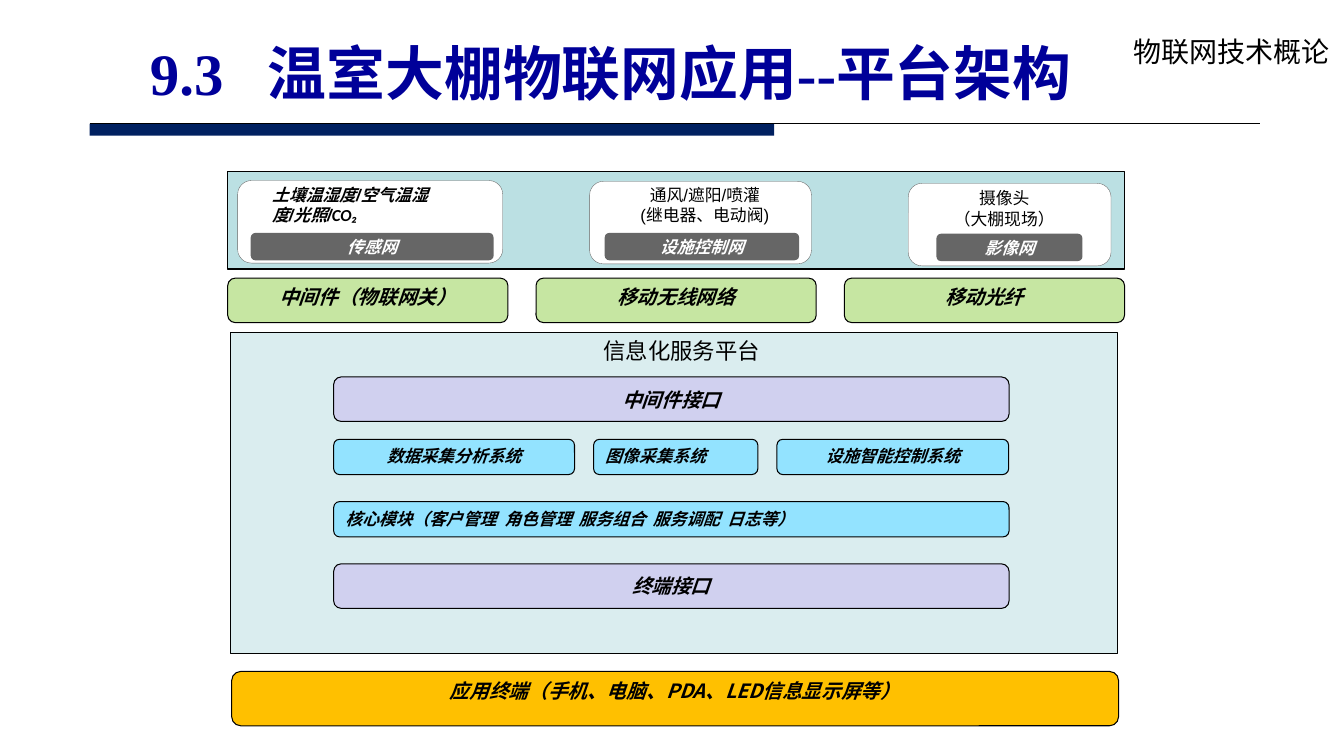
from pptx import Presentation
from pptx.dml.color import RGBColor
from pptx.enum.shapes import MSO_CONNECTOR, MSO_SHAPE
from pptx.enum.text import MSO_ANCHOR, PP_ALIGN
from pptx.oxml.ns import qn
from pptx.util import Cm, Pt
from lxml import etree

RECTANGLE, ROUNDED = MSO_SHAPE.RECTANGLE, MSO_SHAPE.ROUNDED_RECTANGLE
STRAIGHT = MSO_CONNECTOR.STRAIGHT
LEFT, CENTER = PP_ALIGN.LEFT, PP_ALIGN.CENTER
TOP, MIDDLE = MSO_ANCHOR.TOP, MSO_ANCHOR.MIDDLE

THEME = {
    "sans": "Noto Sans CJK SC", "course_font": "Noto Sans CJK JP",
    "title_font": "Times New Roman", "card_font": "Arial", "formula_font": "Calibri",
    "title_size": 42, "course_size": 20, "platform_size": 16, "block_size": 14, "small_size": 12,
    "card_line": 14.4,
    "black": "000000", "white": "FFFFFF", "title": "000099", "band": "002060",
    "field": "BBE0E3", "platform": "DAEDEF", "label": "666666", "network": "C6E6A2",
    "interface": "D0D0EF", "system": "93E3FF", "terminal": "FFC000",
}

TITLE = "9.3\t温室大棚物联网应用--平台架构"
COURSE = "物联网技术概论"
PLATFORM = "信息化服务平台"
TERMINAL = "应用终端（手机、电脑、PDA、LED信息显示屏等）"
CARDS = [
    {"card": (5.99, 4.55, 6.68), "caption": (6.53, 4.45, 5.84, 1.57), "label": (6.32, 5.87, 6.12),
     "lines": [["土壤温湿度/空气温湿度/光照/", "CO₂"]], "name": "传感网",
     "bold": True, "align": LEFT, "right_inset": 1.1},
    {"card": (14.86, 4.57, 5.59), "caption": (15.21, 4.47, 5.11, 1.35), "label": (15.24, 5.87, 4.9),
     "lines": [["通风/遮阳/喷灌"], ["(继电器、电动阀)"]], "name": "设施控制网",
     "bold": False, "align": CENTER, "right_inset": 0.25},
    {"card": (22.89, 4.62, 5.11), "caption": (23.24, 4.55, 4.14, 1.35), "label": (23.6, 5.89, 3.68),
     "lines": [["摄像头"], ["（大棚现场）"]], "name": "影像网",
     "bold": False, "align": CENTER, "right_inset": 0.25},
]
NETWORKS = ["中间件（物联网关）", "移动无线网络", "移动光纤"]
INTERFACES = [(0, "中间件接口"), (3, "终端接口")]
SYSTEMS = [("数据采集分析系统", 6.07, CENTER), ("图像采集系统", 4.14, LEFT),
           ("设施智能控制系统", 5.84, CENTER)]
CORE = "核心模块（客户管理\t角色管理\t服务组合\t服务调配\t日志等）"

CARD_HEIGHT, LABEL_HEIGHT = 2.08, 0.69
BLOCK_HEIGHT, SYSTEM_HEIGHT = 1.12, 0.89
NETWORK_LEFT, NETWORK_TOP, NETWORK_WIDTH, NETWORK_STEP = 5.74, 7.01, 7.06, 7.77
LAYER_LEFT, LAYER_TOP, LAYER_WIDTH, LAYER_STEP = 8.41, 9.5, 17.02, 1.57
SYSTEM_GAP = 0.48
CORE_TABS = [4.01 + 1.87 * index for index in range(4)]

presentation = Presentation()
presentation.slide_width, presentation.slide_height = Cm(33.87), Cm(19.05)
slide = presentation.slides.add_slide(presentation.slide_layouts[6])


def color(name):
    return RGBColor.from_string(THEME[name])


def add_box(box, fill=None, line=None, kind=ROUNDED, line_width=0.75):
    shape = slide.shapes.add_shape(kind, *map(Cm, box))
    shape.shadow.inherit = False
    if fill:
        shape.fill.solid()
        shape.fill.fore_color.rgb = color(fill)
    else:
        shape.fill.background()
    if line:
        shape.line.color.rgb = color(line)
        shape.line.width = Pt(line_width)
    else:
        shape.line.fill.background()
    return shape


def add_tabs(paragraph, positions):
    properties = paragraph._p.get_or_add_pPr()
    tab_list = etree.SubElement(properties, qn("a:tabLst"))
    for position in positions:
        etree.SubElement(tab_list, qn("a:tab"), pos=str(Cm(position)), algn="l")


def write(shape, lines, size, font="sans", ink="black", bold=False, italic=False,
          align=CENTER, anchor=TOP, tabs=(), line_spacing=None):
    frame = shape.text_frame
    frame.word_wrap = True
    frame.vertical_anchor = anchor
    for index, runs in enumerate(lines):
        paragraph = frame.paragraphs[0] if index == 0 else frame.add_paragraph()
        paragraph.alignment = align
        if line_spacing:
            paragraph.line_spacing = Pt(line_spacing)
        if tabs:
            add_tabs(paragraph, tabs)
        for position, text in enumerate(runs):
            run = paragraph.add_run()
            run.text = text
            run.font.name = THEME["formula_font" if position else font]
            run.font.size = Pt(THEME[size])
            run.font.bold, run.font.italic = bold, italic
            run.font.color.rgb = color(ink)
            east_asian = THEME["course_font" if font == "course_font" else "sans"]
            latin = run.font._element.find(qn("a:latin"))
            latin.addnext(etree.Element(qn("a:ea"), typeface=east_asian))


def add_block(box, text, fill, size="block_size", **style):
    shape = add_box(box, fill, "black")
    write(shape, [[text]], size, bold=True, italic=True, **style)


def add_header():
    add_box((2.26, 3.12, 17.25, 0.3), "band", kind=RECTANGLE)
    rule = slide.shapes.add_connector(STRAIGHT, Cm(2.26), Cm(3.12), Cm(31.75), Cm(3.12))
    rule.line.color.rgb = color("black")
    rule.line.width = Pt(0.75)
    etree.SubElement(rule._element.spPr, qn("a:effectLst"))
    course = slide.shapes.add_textbox(Cm(28.32), Cm(0.74), Cm(5.55), Cm(1.19))
    write(course, [[COURSE]], "course_size", "course_font", align=LEFT)
    title = slide.shapes.add_textbox(Cm(3.53), Cm(0.91), Cm(24.99), Cm(1.8))
    write(title, [[TITLE]], "title_size", "title_font", "title", bold=True,
          align=LEFT, anchor=MIDDLE, tabs=[2.97])


def add_field_layer():
    add_box((5.74, 4.32, 22.61, 2.46), "field", "black", RECTANGLE)
    for card in CARDS:
        add_box((*card["card"], CARD_HEIGHT), "white", "label", line_width=0.25)
        caption = add_box(card["caption"])
        caption.text_frame.margin_right = Cm(card["right_inset"])
        write(caption, card["lines"], "small_size", "card_font", bold=card["bold"],
              italic=card["bold"], align=card["align"], line_spacing=THEME["card_line"])
        label = add_box((*card["label"], LABEL_HEIGHT), "label")
        write(label, [[card["name"]]], "small_size", "card_font", "white",
              bold=True, italic=True, anchor=MIDDLE)


def add_platform():
    add_box((5.82, 8.38, 22.35, 8.1), "platform", "black", RECTANGLE)
    heading = slide.shapes.add_textbox(Cm(14.96), Cm(8.38), Cm(5.51), Cm(1.07))
    write(heading, [[PLATFORM]], "platform_size", align=LEFT)
    layer_tops = [LAYER_TOP + LAYER_STEP * index for index in range(4)]
    for layer, text in INTERFACES:
        add_block((LAYER_LEFT, layer_tops[layer], LAYER_WIDTH, BLOCK_HEIGHT), text,
                  "interface", anchor=MIDDLE)
    left = LAYER_LEFT
    for text, width, align in SYSTEMS:
        add_block((left, layer_tops[1], width, SYSTEM_HEIGHT), text, "system",
                  "small_size", align=align)
        left += width + SYSTEM_GAP
    add_block((LAYER_LEFT, layer_tops[2], LAYER_WIDTH, SYSTEM_HEIGHT), CORE, "system",
              "small_size", align=LEFT, tabs=CORE_TABS)


add_header()
add_field_layer()
for index, network in enumerate(NETWORKS):
    add_block((NETWORK_LEFT + NETWORK_STEP * index, NETWORK_TOP, NETWORK_WIDTH, BLOCK_HEIGHT),
              network, "network")
add_platform()
add_block((5.84, 16.92, 22.35, 1.37), TERMINAL, "terminal")
presentation.save("out.pptx")
